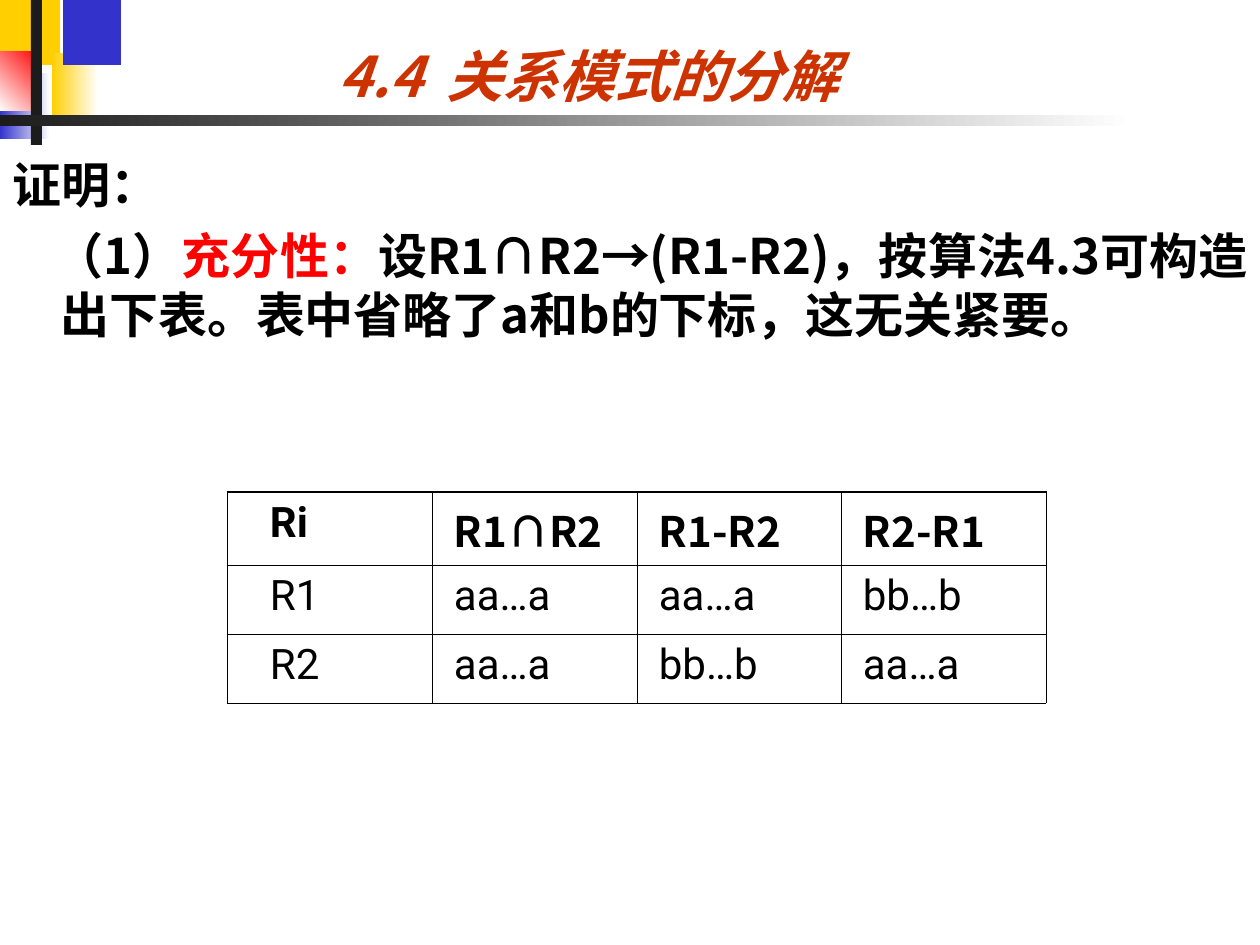
"""Build the slide on decomposing relation schemas."""
from lxml.etree import SubElement as Sub
from pptx import Presentation
from pptx.dml.color import RGBColor as RGB
from pptx.enum.shapes import MSO_SHAPE as Kind
from pptx.enum.text import MSO_ANCHOR as Anchor, PP_ALIGN as Align
from pptx.oxml.ns import qn
from pptx.util import Pt

PX = 914400 // 126
THEME = {
    "cjk": "Noto Sans CJK SC", "latin": "Roboto",
    "title": 32, "body": 28, "cell": 24, "gap": 7,
    "ink": "000000", "head": "CC3300", "mark": "FF0000", "gold": "FFCF01",
    "blue": "3333CC", "bar": "1C1C1C", "white": "FFFFFF",
    "thin": 0.45, "thick": 1.08,
}
BLOCKS = [
    ((0, 0, 60, 65), ("gold",), 0),
    ((52, 53, 46, 65), ("gold", "white"), 0),
    ((63, 0, 58, 65), ("blue",), 0),
    ((0, 73, 50, 66), ("blue", "white"), 0),
    ((0, 52, 42, 59), ("white", "mark"), 45),
    ((31, 0, 11, 145), ("bar",), 0),
    ((0, 115, 1134, 11), ("bar", "white"), 0),
]
TITLE = [("4.4", 0), (" ", 600), ("关系模式的分解", 0)]
BODY = [
    (-48, [("证明：", "ink")]),
    (-6, [("（1）", "ink"), ("充分性：", "mark"),
          ("设R1∩R2→(R1-R2)，按算法4.3可构造出下表。"
           "表中省略了a和b的下标，这无关紧要。", "ink")]),
]
ROWS = [
    ["Ri", "R1∩R2", "R1-R2", "R2-R1"],
    ["R1", "aa…a", "aa…a", "bb…b"],
    ["R2", "aa…a", "bb…b", "aa…a"],
]
HIGH = [73, 69, 69]
WIDE = [205, 205, 204, 205]


def tint(name):
    return RGB.from_string(THEME[name])


def px(*nums):
    return [n * PX for n in nums]


def write(par, text, size, color="ink", face="cjk", bold=True):
    run = par.add_run()
    run.text = text
    font = run.font
    font.size, font.bold, font.name = Pt(THEME[size]), bold, THEME[face]
    font.color.rgb = tint(color)
    Sub(run._r.get_or_add_rPr(), qn("a:ea"), typeface=THEME["cjk"])
    return run


def block(slide, box, hues, turn):
    shape = slide.shapes.add_shape(Kind.RECTANGLE, *px(*box))
    shape.shadow.inherit = False
    shape.line.fill.background()
    fill = shape.fill
    if len(hues) == 1:
        fill.solid()
        fill.fore_color.rgb = tint(hues[0])
        return
    fill.gradient()
    fill.gradient_angle = turn
    for stop, hue in zip(fill.gradient_stops, hues):
        stop.color.rgb = tint(hue)


def head(slide):
    shape = slide.shapes.title
    shape.left, shape.top, shape.width, shape.height = px(159, 0, 859, 115)
    frame = shape.text_frame
    frame.vertical_anchor = Anchor.BOTTOM
    par = frame.paragraphs[0]
    par.alignment = Align.CENTER
    for text, space in TITLE:
        run = write(par, text, "title", "head")
        run.font.italic = True
        if space:
            run._r.rPr.set("spc", str(space))


def body(slide):
    frame = slide.shapes.add_textbox(*px(0, 148, 1260, 482)).text_frame
    frame.word_wrap = True
    for i, (dent, runs) in enumerate(BODY):
        par = frame.add_paragraph() if i else frame.paragraphs[0]
        par.alignment = Align.JUSTIFY
        par.space_before = Pt(THEME["gap"] if i else 0)
        props = par._p.get_or_add_pPr()
        props.set("marL", str(48 * PX))
        props.set("indent", str(dent * PX))
        for text, color in runs:
            write(par, text, "body", color)


def edge(cell, top):
    props = cell._tc.get_or_add_tcPr()
    for i, side in enumerate("LRTB"):
        width = Pt(THEME["thick" if top and side == "T" else "thin"])
        line = Sub(props, qn("a:ln" + side), w=str(width))
        fill = Sub(line, qn("a:solidFill"))
        Sub(fill, qn("a:srgbClr"), val=THEME["ink"])
        props.insert(i, line)


def grid(slide):
    box = px(227, 492, sum(WIDE), sum(HIGH))
    table = slide.shapes.add_table(len(HIGH), len(WIDE), *box).table
    for col, wide in zip(table.columns, WIDE):
        col.width = wide * PX
    for r, texts in enumerate(ROWS):
        table.rows[r].height = HIGH[r] * PX
        for c, text in enumerate(texts):
            cell = table.cell(r, c)
            cell.fill.background()
            cell.margin_left = (22 if c else 43) * PX
            face = "cjk" if r == 0 and c else "latin"
            par = cell.text_frame.paragraphs[0]
            write(par, text, "cell", face=face, bold=r == 0)
            edge(cell, r == 0)


def main():
    deck = Presentation()
    deck.slide_width, deck.slide_height = px(1260, 945)
    slide = deck.slides.add_slide(deck.slide_layouts[5])
    for item in BLOCKS:
        block(slide, *item)
    head(slide)
    body(slide)
    grid(slide)
    deck.save("out.pptx")


if __name__ == "__main__":
    main()
